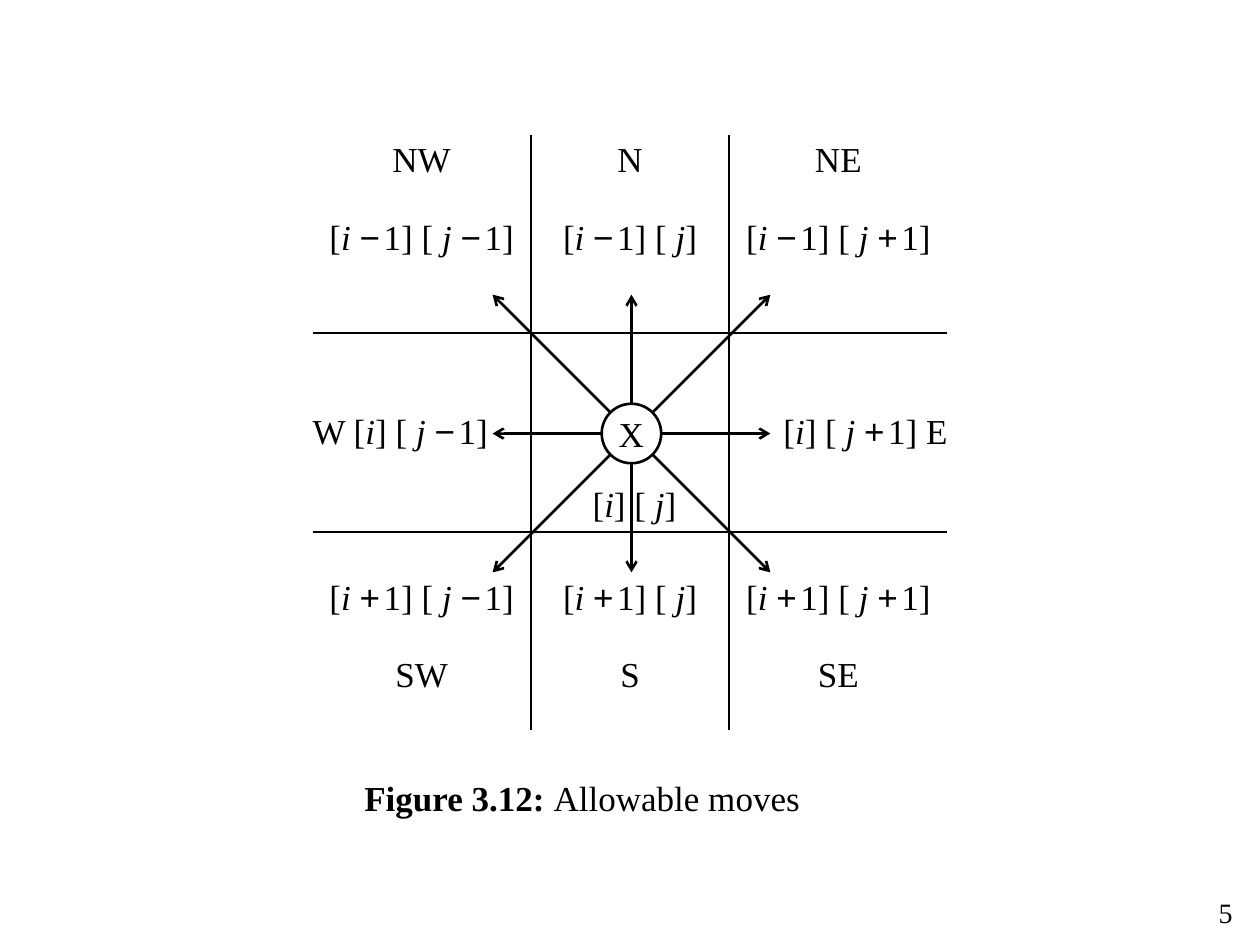
from dataclasses import dataclass
from itertools import groupby

from pptx import Presentation
from pptx.dml.color import RGBColor as Rgb
from pptx.enum.shapes import MSO_CONNECTOR as Link, MSO_SHAPE as Form
from pptx.enum.text import MSO_ANCHOR as Anchor, MSO_AUTO_SIZE as Auto, PP_ALIGN as Align
from pptx.oxml.ns import qn
from pptx.util import Cm, Pt
from lxml.etree import SubElement as Sub


@dataclass(frozen=True)
class Theme:
    """Colours, fonts and sizes of the slide."""
    ink: Rgb = Rgb(0, 0, 0)
    paper: Rgb = Rgb(255, 255, 255)
    face: str = "Times New Roman"
    sign: str = "Arial"
    text: Pt = Pt(20)
    note: Pt = Pt(16)
    thin: Pt = Pt(8)
    line: Pt = Pt(1.5)
    gap: Pt = Pt(22)


LOOK = Theme()
MID_X, MID_Y, REACH, RADIUS = 12.73, 8.74, 2.8, 0.6
COLS, ROW = (4.4, 4, 4.4), 4
MOVES = (
    (("NW", "[i −1] [ j −1]"), ("N", "[i −1] [ j]"), ("NE", "[i −1] [ j +1]")),
    (("W [i] [ j −1]",), (" [i] [ j]",), ("[i] [ j +1] E",)),
    (("[i +1] [ j −1]", "SW"), ("[i +1] [ j]", "S"), ("[i +1] [ j +1]", "SE")),
)
ANCHORS = (
    (Anchor.TOP,) * 3,
    (Anchor.MIDDLE, Anchor.BOTTOM, Anchor.MIDDLE),
    (Anchor.TOP,) * 3,
)
INSETS = {
    (1, 0): {"margin_left": 0},
    (1, 2): {"margin_right": 0},
    **{(2, col): {"margin_top": Cm(0.94)} for col in range(3)},
}
ALIGNS = {(1, 0): Align.LEFT, (1, 2): Align.RIGHT}


def apply(item, **vals):
    """Set each named attribute of an item."""
    for name, val in vals.items():
        setattr(item, name, val)


def add_run(para, text, **vals):
    """Add a run in the theme's type."""
    run = para.add_run()
    run.text = text
    run.font.color.rgb = LOOK.ink
    apply(run.font, **{"name": LOOK.face, "size": LOOK.text, "bold": False, **vals})


def kind(char):
    """Name the style that a character of a formula takes."""
    return "var" if char in "ij" else "sign" if char in "−+" else "plain"


def add_math(para, text):
    """Write a formula with slanted variables and spaced signs."""
    for style, chars in groupby(text, kind):
        part = "".join(chars)
        if style == "sign":
            add_run(para, part, name=LOOK.sign)
            add_run(para, " ", size=LOOK.thin)
        else:
            add_run(para, part, italic=style == "var")


def set_edges(cell, row, col):
    """Rule only the inner edges of the grid."""
    props = cell._tc.get_or_add_tcPr()
    inner = {"lnL": col > 0, "lnR": col < 2, "lnT": row > 0, "lnB": row < 2}
    for tag, drawn in inner.items():
        edge = Sub(props, qn(f"a:{tag}"), w=str(LOOK.line))
        if drawn:
            fill = Sub(edge, qn("a:solidFill"))
            Sub(fill, qn("a:srgbClr"), val=str(LOOK.ink))
        else:
            Sub(edge, qn("a:noFill"))


def fill_cell(cell, row, col):
    """Format a cell and write its lines."""
    set_edges(cell, row, col)
    cell.fill.background()
    apply(cell, vertical_anchor=ANCHORS[row][col], **INSETS.get((row, col), {}))
    frame = cell.text_frame
    for num, text in enumerate(MOVES[row][col]):
        para = frame.add_paragraph() if num else frame.paragraphs[0]
        apply(para, alignment=ALIGNS.get((row, col), Align.CENTER),
              space_before=LOOK.gap if num else Pt(0))
        add_math(para, text)


def add_grid(slide):
    """Add the table of moves."""
    table = slide.shapes.add_table(
        3, 3, Cm(6.3), Cm(2.72), Cm(sum(COLS)), Cm(3 * ROW)).table
    apply(table, first_row=False, horz_banding=False)
    for num, width in enumerate(COLS):
        table.columns[num].width = Cm(width)
        table.rows[num].height = Cm(ROW)
    for row in range(3):
        for col in range(3):
            fill_cell(table.cell(row, col), row, col)


def add_arrow(slide, dx, dy):
    """Add a double arrow through the centre."""
    arrow = slide.shapes.add_connector(
        Link.STRAIGHT,
        Cm(MID_X - dx * REACH), Cm(MID_Y - dy * REACH),
        Cm(MID_X + dx * REACH), Cm(MID_Y + dy * REACH))
    arrow.line.color.rgb = LOOK.ink
    arrow.line.width = LOOK.line
    for tag in ("headEnd", "tailEnd"):
        Sub(arrow.line._get_or_add_ln(), qn(f"a:{tag}"), type="arrow")
    Sub(arrow._element.spPr, qn("a:effectLst"))


def add_hub(slide):
    """Add the circle that marks the position."""
    hub = slide.shapes.add_shape(
        Form.OVAL, Cm(MID_X - RADIUS), Cm(MID_Y - RADIUS),
        Cm(2 * RADIUS), Cm(2 * RADIUS))
    hub.shadow.inherit = False
    hub.fill.solid()
    hub.fill.fore_color.rgb = LOOK.paper
    hub.line.color.rgb = LOOK.ink
    hub.line.width = LOOK.line
    frame = hub.text_frame
    apply(frame, margin_left=0, margin_top=0, margin_right=0, margin_bottom=0,
          vertical_anchor=Anchor.MIDDLE, word_wrap=False)
    para = frame.paragraphs[0]
    para.alignment = Align.CENTER
    add_run(para, "X")


def add_caption(slide):
    """Fill the body placeholder with the caption."""
    body = slide.placeholders[1]
    apply(body, left=Cm(7.09), top=Cm(15.52), width=Cm(11.23), height=Cm(1.17))
    apply(body.text_frame, auto_size=Auto.NONE, word_wrap=True)
    para = body.text_frame.paragraphs[0]
    props = para._p.get_or_add_pPr()
    apply(para, space_before=Pt(0))
    Sub(props, qn("a:buNone"))
    props.set("marL", str(Cm(0.96)))
    props.set("indent", str(-Cm(0.96)))
    add_run(para, "Figure 3.12: ", bold=True)
    add_run(para, "Allowable moves")


def add_number(slide):
    """Add the page number."""
    box = slide.shapes.add_textbox(Cm(23.5), Cm(17.93), Cm(1.6), Cm(0.81))
    box.text_frame.word_wrap = True
    para = box.text_frame.paragraphs[0]
    para.alignment = Align.RIGHT
    add_run(para, "5", size=LOOK.note)


def main():
    """Build and save the slide."""
    deck = Presentation()
    apply(deck, slide_width=Cm(25.4), slide_height=Cm(19.05))
    slide = deck.slides.add_slide(deck.slide_layouts[1])
    title = slide.shapes.title._element
    title.getparent().remove(title)
    add_caption(slide)
    add_number(slide)
    add_grid(slide)
    for dx, dy in ((-1, 1), (1, 1), (0, 1), (1, 0)):
        add_arrow(slide, dx, dy)
    add_hub(slide)
    deck.save("out.pptx")


if __name__ == "__main__":
    main()
